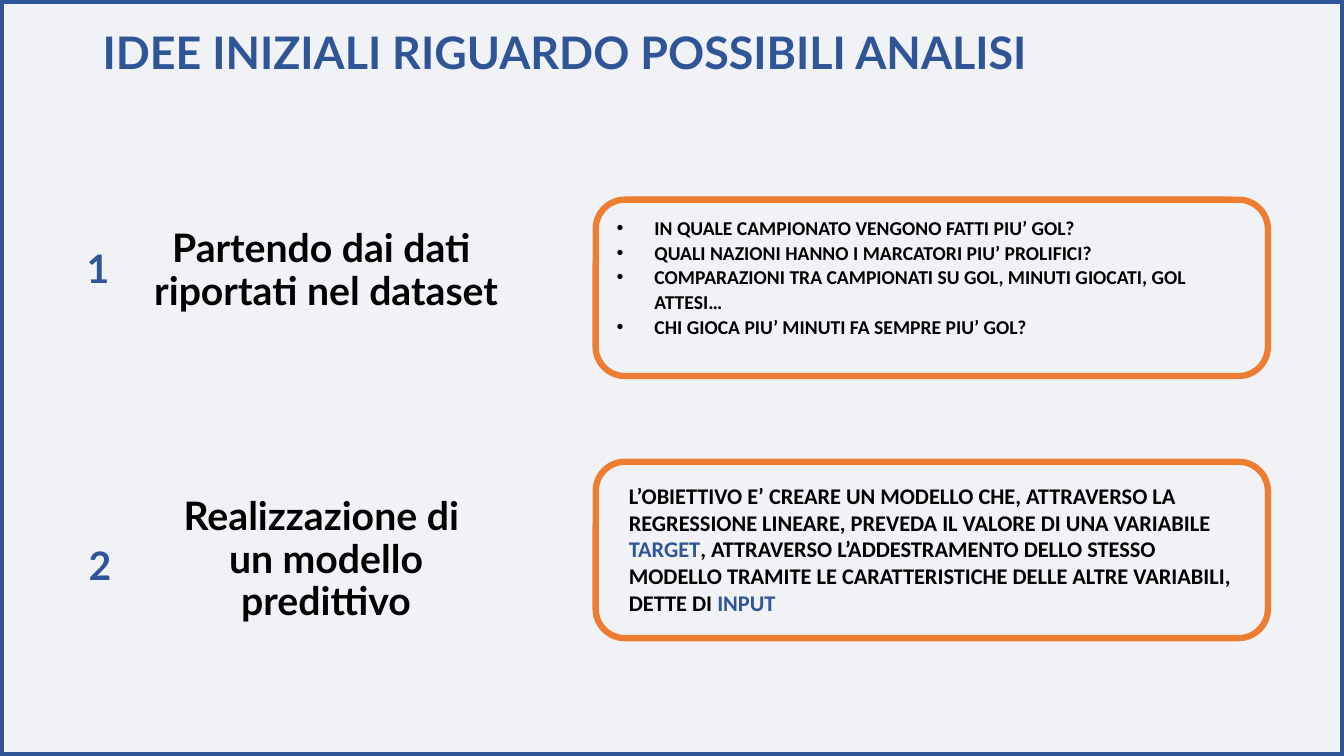
from lxml.etree import SubElement
from pptx import Presentation
from pptx.dml.color import RGBColor
from pptx.enum.shapes import MSO_SHAPE
from pptx.enum.text import MSO_ANCHOR, PP_ALIGN
from pptx.oxml.ns import qn
from pptx.util import Pt

COLORS = {"back": "F0F2F6", "blue": "2F5597", "orange": "ED7D31", "black": "000000"}

deck = Presentation()
deck.slide_width, deck.slide_height = Pt(960), Pt(540)
slide = deck.slides.add_slide(deck.slide_layouts[6])
slide.background.fill.solid()
slide.background.fill.fore_color.rgb = RGBColor.from_string(COLORS["back"])


def add_text(place, lines, font, size, color, align=PP_ALIGN.LEFT, anchor=MSO_ANCHOR.MIDDLE, gap=0.9):
    frame = slide.shapes.add_textbox(*map(Pt, place)).text_frame
    frame.word_wrap = True
    frame.vertical_anchor = anchor
    for i, line in enumerate(lines):
        para = frame.paragraphs[0] if i == 0 else frame.add_paragraph()
        para.alignment = align
        para.line_spacing = gap
        for part in line:
            run = para.add_run()
            run.text = part
            run.font.name = font
            run.font.size = Pt(size)
            run.font.bold = True
            tone = "blue" if part in ("TARGET", "INPUT") else color
            run.font.color.rgb = RGBColor.from_string(COLORS[tone])
    return frame


def add_frame(kind, place, color, width):
    shape = slide.shapes.add_shape(kind, *map(Pt, place))
    shape.shadow.inherit = False
    shape.fill.background()
    shape.line.color.rgb = RGBColor.from_string(COLORS[color])
    shape.line.width = Pt(width)


add_text((66.2, 20.2, 828, 37.4), [["IDEE INIZIALI RIGUARDO POSSIBILI ANALISI"]], "Lato", 32, "blue")

topics = [
    ("1", 54.7, 175, 175, 142.6, ["Partendo dai dati ", "riportati nel dataset"]),
    ("2", 56.2, 386.6, 381.6, 329.8, ["Realizzazione di ", "un modello predittivo"]),
]
for num, left, high, top, box, lines in topics:
    add_frame(MSO_SHAPE.ROUNDED_RECTANGLE, (425.5, box, 480.2, 126), "orange", 4.5)
    add_text((left, high, 23, 37.4), [[num]], "Lato", 28, "blue", PP_ALIGN.CENTER)
    label = add_text((92.9, top, 280, 37.4), [[line] for line in lines],
                     "Lato", 28, "black", PP_ALIGN.CENTER)
    label.margin_left = label.margin_right = Pt(12)

asks = [
    "IN QUALE CAMPIONATO VENGONO FATTI PIU’ GOL?",
    "QUALI NAZIONI HANNO I MARCATORI PIU’ PROLIFICI?",
    "COMPARAZIONI TRA CAMPIONATI SU GOL, MINUTI GIOCATI, GOL ATTESI…",
    "CHI GIOCA PIU’ MINUTI FA SEMPRE PIU’ GOL?",
]
body = add_text((433.4, 149.8, 472.3, 126), [[ask] for ask in asks],
                "Calibri", 14, "black", anchor=MSO_ANCHOR.TOP, gap=1.05)
for para in body.paragraphs:
    props = para._p.get_or_add_pPr()
    props.set("marL", str(Pt(27)))
    props.set("indent", str(-Pt(27)))
    SubElement(props, qn("a:buFont")).set("typeface", "Arial")
    SubElement(props, qn("a:buChar")).set("char", "•")

goal = [
    "L’OBIETTIVO E’ CREARE UN MODELLO CHE, ATTRAVERSO LA REGRESSIONE LINEARE, PREVEDA IL VALORE DI UNA VARIABILE ",
    "TARGET",
    ", ATTRAVERSO L’ADDESTRAMENTO DELLO STESSO MODELLO TRAMITE LE CARATTERISTICHE DELLE ALTRE VARIABILI, DETTE DI ",
    "INPUT",
]
add_text((442.1, 340.6, 452.2, 104.4), [goal], "Calibri", 16, "black", anchor=MSO_ANCHOR.TOP, gap=1)

add_frame(MSO_SHAPE.RECTANGLE, (0, 0, 960, 540), "blue", 6)

deck.save("out.pptx")
